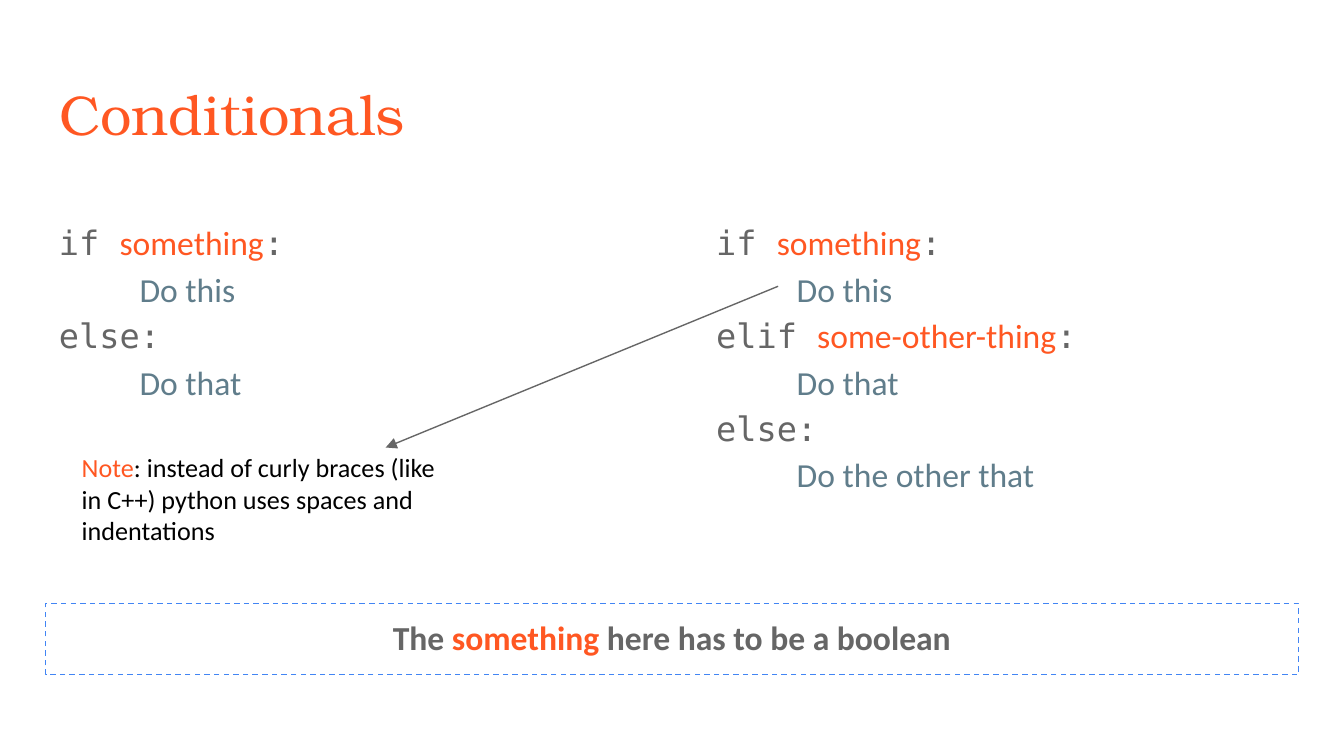
from dataclasses import dataclass

from lxml import etree
from pptx import Presentation
from pptx.dml.color import RGBColor
from pptx.enum.dml import MSO_LINE_DASH_STYLE as Dash
from pptx.enum.shapes import MSO_CONNECTOR as Connector, MSO_SHAPE as Shape
from pptx.enum.text import MSO_ANCHOR as Anchor, MSO_AUTO_SIZE as AutoSize, PP_ALIGN as Align
from pptx.oxml.ns import qn
from pptx.util import Inches, Pt


@dataclass(frozen=True)
class Theme:
    accent: str = "FF5722"
    gray: str = "666666"
    slate: str = "607D8B"
    black: str = "000000"
    blue: str = "4285F4"
    title_font: str = "TeX Gyre Bonum"
    code_font: str = "DejaVu Sans Mono"
    text_font: str = "Calibri"
    title_size: int = 30
    body_size: int = 18
    note_size: int = 14
    line_width: float = 0.75


theme = Theme()


def add_run(paragraph, text, color, font=theme.text_font, size=theme.body_size, bold=False):
    run = paragraph.add_run()
    run.text = text
    run.font.name = font
    run.font.size = Pt(size)
    run.font.bold = bold
    run.font.color.rgb = RGBColor.from_string(color)


def set_frame(shape):
    frame = shape.text_frame
    frame.word_wrap = True
    frame.auto_size = AutoSize.NONE
    frame.vertical_anchor = Anchor.TOP
    frame.margin_left = frame.margin_right = Inches(0.1)
    frame.margin_top = frame.margin_bottom = Inches(0.1)
    return frame.paragraphs[0]


# Widescreen 16:9 slide
presentation = Presentation()
presentation.slide_width, presentation.slide_height = Inches(10), Inches(10 * 9 / 16)
slide = presentation.slides.add_slide(presentation.slide_layouts[5])
left, full_width = Inches(0.34), Inches(9.32)

# Title
title = slide.shapes.title
title.left, title.top, title.width, title.height = left, Inches(0.49), full_width, Inches(0.63)
paragraph = set_frame(title)
paragraph.alignment = Align.LEFT
add_run(paragraph, "Conditionals", theme.accent, theme.title_font, theme.title_size)

# Code columns: each branch is (keyword, condition, action)
columns = [
    (0.34, 2.42, [("if", "something", "Do this"), ("else", "", "Do that")]),
    (5.23, 2.32, [("if", "something", "Do this"), ("elif", "some-other-thing", "Do that"),
                  ("else", "", "Do the other that")]),
]
for column_left, height, branches in columns:
    column = slide.shapes.add_textbox(Inches(column_left), Inches(1.51), Inches(4.43), Inches(height))
    paragraph = set_frame(column)
    for index, (keyword, condition, action) in enumerate(branches):
        if index:
            paragraph = column.text_frame.add_paragraph()
        if condition:
            add_run(paragraph, keyword + " ", theme.gray, theme.code_font)
            add_run(paragraph, condition, theme.accent)
            add_run(paragraph, ":", theme.gray, theme.code_font)
        else:
            add_run(paragraph, keyword + ":", theme.gray, theme.code_font)
        paragraph = column.text_frame.add_paragraph()
        paragraph._p.get_or_add_pPr().set("marL", str(Inches(0.6)))
        add_run(paragraph, action, theme.slate)
    for paragraph in column.text_frame.paragraphs:
        paragraph.line_spacing = 1.15

# Dashed takeaway box
takeaway = slide.shapes.add_shape(Shape.RECTANGLE, left, Inches(4.49), full_width, Inches(0.53))
takeaway.shadow.inherit = False
takeaway.fill.background()
takeaway.line.color.rgb = RGBColor.from_string(theme.blue)
takeaway.line.width = Pt(theme.line_width)
takeaway.line.dash_style = Dash.DASH
paragraph = set_frame(takeaway)
paragraph.alignment = Align.CENTER
add_run(paragraph, "The ", theme.gray, bold=True)
add_run(paragraph, "something", theme.accent, bold=True)
add_run(paragraph, " here has to be a boolean", theme.gray, bold=True)

# Indentation note with its arrow
group = slide.shapes.add_group_shape()
note = group.shapes.add_textbox(Inches(0.51), Inches(3.26), Inches(2.86), Inches(1.03))
paragraph = set_frame(note)
add_run(paragraph, "Note", theme.accent, size=theme.note_size)
add_run(paragraph, ": instead of curly braces (like in C++) python uses spaces and indentations",
        theme.black, size=theme.note_size)

arrow = group.shapes.add_connector(Connector.STRAIGHT, Inches(5.79), Inches(2.13),
                                   Inches(2.87), Inches(3.33))
arrow.line.color.rgb = RGBColor.from_string(theme.gray)
arrow.line.width = Pt(theme.line_width)
etree.SubElement(arrow.line._get_or_add_ln(), qn("a:tailEnd"), type="triangle")
etree.SubElement(arrow._element.spPr, qn("a:effectLst"))

presentation.save("out.pptx")
